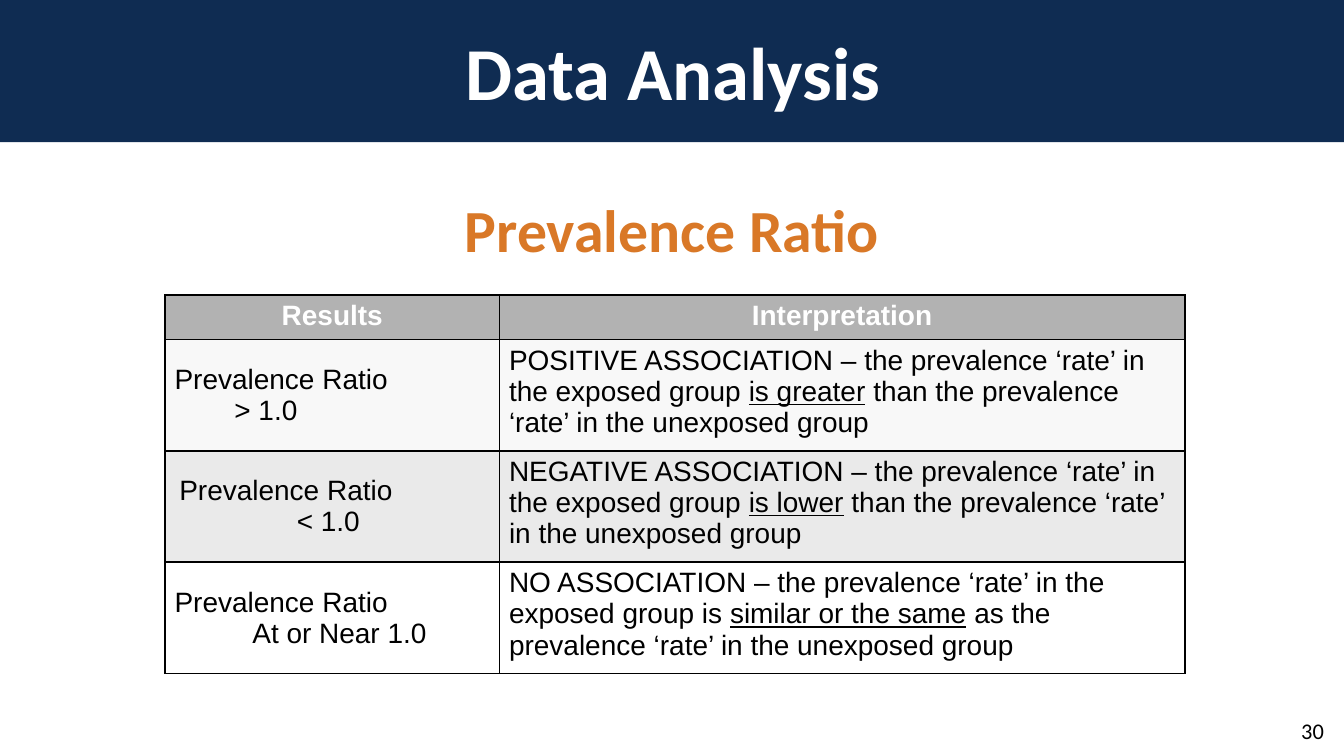
from dataclasses import dataclass

from lxml.etree import SubElement
from pptx import Presentation
from pptx.dml.color import RGBColor
from pptx.enum.shapes import MSO_SHAPE
from pptx.enum.text import MSO_ANCHOR, PP_ALIGN
from pptx.oxml.ns import qn
from pptx.slide import Slide
from pptx.table import _Cell
from pptx.text.text import TextFrame
from pptx.util import Cm, Pt

COLOURS = {
    "navy": "0F2C52",
    "orange": "D97827",
    "black": "000000",
    "white": "FFFFFF",
    "header": "B2B2B2",
    "light": "F8F8F8",
    "medium": "EAEAEA",
}


@dataclass
class ResultRow:
    """One table row; indents are in cm, one for each result line."""
    result: list[str]
    indents: list[float]
    interpretation: tuple[str, str, str]
    fill: str


RESULT_ROWS = [
    ResultRow(
        ["Prevalence Ratio", "> 1.0"], [0, 1.13],
        ("POSITIVE ASSOCIATION – the prevalence ‘rate’ in the exposed group ",
         "is greater",
         " than the prevalence ‘rate’ in the unexposed group"),
        "light"),
    ResultRow(
        ["Prevalence Ratio", "< 1.0"], [0.09, 2.31],
        ("NEGATIVE ASSOCIATION – the prevalence ‘rate’ in the exposed group ",
         "is lower",
         " than the prevalence ‘rate’ in the unexposed group"),
        "medium"),
    ResultRow(
        ["Prevalence Ratio", "At or Near 1.0"], [0, 1.47],
        ("NO ASSOCIATION – the prevalence ‘rate’ in the exposed group is ",
         "similar or the same",
         " as the prevalence ‘rate’ in the unexposed group"),
        "white"),
]


def colour(name: str) -> RGBColor:
    return RGBColor.from_string(COLOURS[name])


def write_text(frame: TextFrame, lines: list[tuple[str, ...]], *, size: float = 15,
               font: str = "Arial", color: str = "black", bold: bool = False,
               align: PP_ALIGN = PP_ALIGN.LEFT,
               indents: list[float] | None = None) -> None:
    """Write each line as a paragraph; every second span in a line is underlined."""
    for index, spans in enumerate(lines):
        para = frame.paragraphs[0] if index == 0 else frame.add_paragraph()
        para.alignment = align
        if indents:
            para._p.get_or_add_pPr().set("marL", str(Cm(indents[index])))
        for position, text in enumerate(spans):
            span = para.add_run()
            span.text = text
            span.font.size = Pt(size)
            span.font.name = font
            span.font.bold = bold
            span.font.underline = position % 2 == 1
            span.font.color.rgb = colour(color)


def add_text_box(page: Slide, text: str, left: float, top: float, width: float,
                 height: float, *, anchor: MSO_ANCHOR = MSO_ANCHOR.TOP,
                 margin: tuple[float, float] = (0.25, 0.13), **text_format) -> None:
    box = page.shapes.add_textbox(Cm(left), Cm(top), Cm(width), Cm(height))
    frame = box.text_frame
    frame.word_wrap = True
    frame.vertical_anchor = anchor
    frame.margin_left = frame.margin_right = Cm(margin[0])
    frame.margin_top = frame.margin_bottom = Cm(margin[1])
    write_text(frame, [(text,)], font="Calibri", **text_format)


def style_cell(cell: _Cell, fill: str) -> None:
    properties = cell._tc.get_or_add_tcPr()
    for side in ("lnL", "lnR", "lnT", "lnB"):
        border = SubElement(properties, qn(f"a:{side}"), w=str(Pt(1)))
        border_fill = SubElement(border, qn("a:solidFill"))
        SubElement(border_fill, qn("a:srgbClr"), val=COLOURS["black"])
    cell.fill.solid()
    cell.fill.fore_color.rgb = colour(fill)
    cell.margin_left = cell.margin_right = Cm(0.18)
    cell.margin_top = cell.margin_bottom = Cm(0.1)


def add_results_table(page: Slide) -> None:
    column_widths = (6.32, 12.95)
    row_heights = [0.79] + [1.95] * len(RESULT_ROWS)
    table = page.shapes.add_table(
        len(row_heights), len(column_widths), Cm(3.12), Cm(5.58),
        Cm(sum(column_widths)), Cm(sum(row_heights))).table
    table.horz_banding = False
    for column, width in zip(table.columns, column_widths):
        column.width = Cm(width)
    for row, height in zip(table.rows, row_heights):
        row.height = Cm(height)

    for column, heading in enumerate(("Results", "Interpretation")):
        cell = table.cell(0, column)
        style_cell(cell, "header")
        write_text(cell.text_frame, [(heading,)], color="white", bold=True,
                   align=PP_ALIGN.CENTER)

    for index, row in enumerate(RESULT_ROWS, start=1):
        result, interpretation = table.cell(index, 0), table.cell(index, 1)
        for cell in (result, interpretation):
            style_cell(cell, row.fill)
        result.vertical_anchor = MSO_ANCHOR.MIDDLE
        write_text(result.text_frame, [(line,) for line in row.result],
                   indents=row.indents)
        write_text(interpretation.text_frame, [row.interpretation])


def add_title_band(page: Slide, width: int) -> None:
    band = page.shapes.add_shape(MSO_SHAPE.RECTANGLE, 0, 0, width, Cm(2.69))
    band.shadow.inherit = False
    band.fill.solid()
    band.fill.fore_color.rgb = colour("navy")
    band.line.fill.background()


def main() -> None:
    deck = Presentation()
    deck.slide_width, deck.slide_height = Cm(25.4), Cm(14.29)
    page = deck.slides.add_slide(deck.slide_layouts[6])
    add_title_band(page, deck.slide_width)
    add_text_box(page, "30", 23.47, 13.31, 1.55, 0.76, size=12,
                 align=PP_ALIGN.RIGHT, anchor=MSO_ANCHOR.BOTTOM, margin=(0, 0))
    add_results_table(page)
    add_text_box(page, "Data Analysis", 0.41, 0.15, 24.61, 2.39, size=40,
                 color="white", bold=True, align=PP_ALIGN.CENTER,
                 anchor=MSO_ANCHOR.MIDDLE)
    add_text_box(page, "Prevalence Ratio", 3.71, 3.51, 17.98, 1.57, size=32,
                 color="orange", bold=True, align=PP_ALIGN.CENTER)
    deck.save("out.pptx")


if __name__ == "__main__":
    main()
